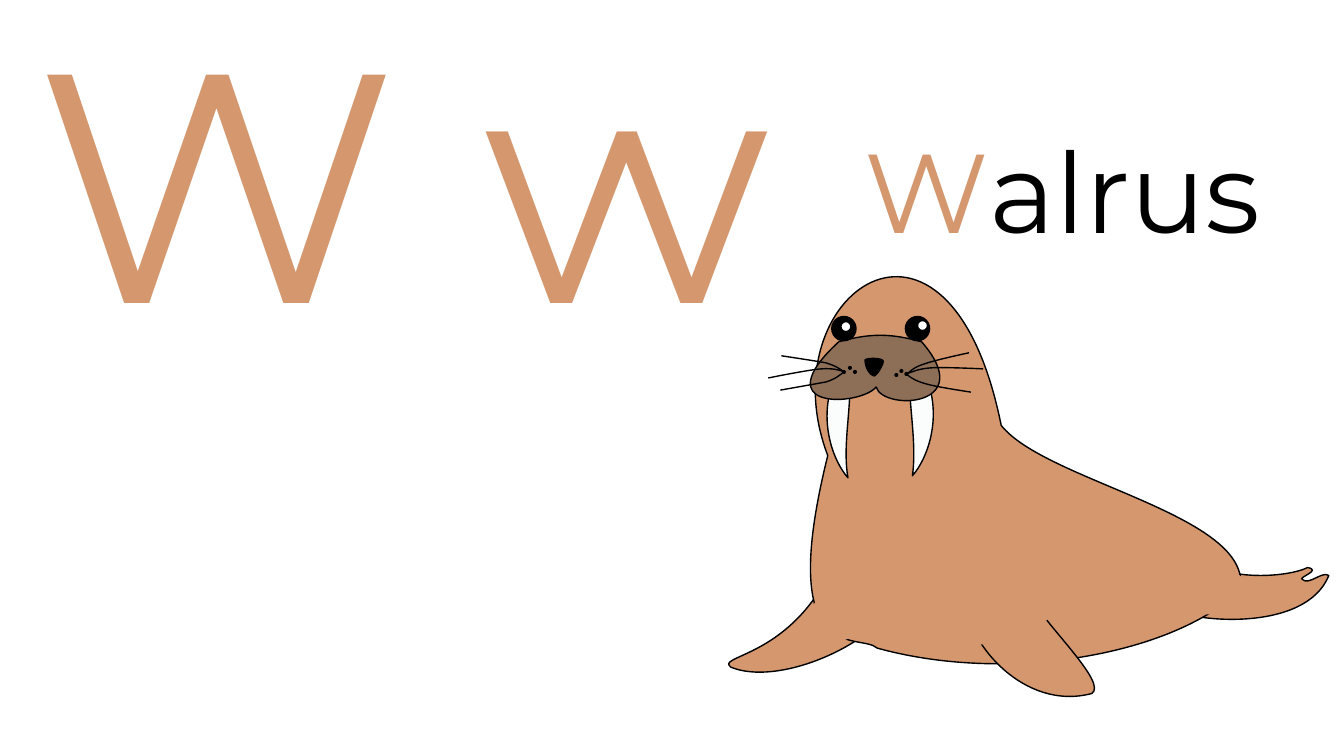
from lxml import etree
from pptx import Presentation
from pptx.dml.color import RGBColor
from pptx.enum import shapes, text
from pptx.oxml.ns import qn
from pptx.util import Inches, Pt

TAN, MUZZLE, IVORY = "D4976E", "8D6E56", "FBFCFC"
BLACK, WHITE = "000000", "FFFFFF"
FONT = "Montserrat"

# Outlines in inches from the walrus box: start point, then segments.
# A segment of two numbers is a line, one of six a Bezier curve.
FAR_FLIPPER = [(.25, 4.62), (.1, 4.51, .73, 4.53, 1.16, 3.81), (1.78, 4.09),
               (1.58, 4.41, .72, 4.81, .25, 4.62)]
TAIL = [(4.62, 3.57), (4.98, 3.57), (5.17, 3.76, 5.77, 3.73, 5.97, 3.63),
        (6.12, 3.66, 5.86, 3.73, 5.92, 3.75), (5.98, 3.81, 6.12, 3.66, 6.18, 3.71),
        (5.95, 4.28, 4.82, 4.17, 4.62, 4.04), (4.62, 3.57)]
BODY = [(1.21, 2.52), (.6, .92, 2.41, -.37, 2.93, 2.22),
        (3.37, 2.78, 5.44, 3.11, 5.3, 3.85), (4.68, 4.47, 3.04, 4.8, 1.7, 4.43),
        (1.53, 4.27, .68, 4.65, 1.21, 2.52)]
TUSKS = [
    [(2.21, 1.81), (2.33, 2.17, 2.2, 2.55, 2.05, 2.72),
     (2.09, 2.43, 2.03, 2.11, 2.02, 1.81), (2.21, 1.81)],
    [(1.25, 1.83), (1.13, 2.19, 1.26, 2.57, 1.41, 2.74),
     (1.36, 2.45, 1.43, 2.13, 1.43, 1.83), (1.25, 1.83)],
]
NEAR_FLIPPER = [(3.83, 4.88), (3.98, 4.78, 3.44, 4.27, 3.25, 3.97), (2.6, 4.03),
                (2.6, 4.36, 3.15, 5.06, 3.83, 4.88)]
SNOUT = [(1.32, 1.39), (1.65, 1.3, 1.84, 1.31, 2.14, 1.39),
         (2.71, 2.04, 1.76, 2.08, 1.69, 1.84), (1.53, 2.03, .57, 2.08, 1.32, 1.39)]
NOSE = [(1.76, 1.58), (1.77, 1.6, 1.7, 1.73, 1.67, 1.73),
        (1.64, 1.73, 1.58, 1.66, 1.58, 1.57), (1.61, 1.55, 1.74, 1.55, 1.76, 1.58)]
JOINTS = [
    [(3.65, 3.77), (3.66, 3.58, 2.93, 3.75, 2.57, 3.74), (2.26, 4.31),
     (2.54, 4.49, 3.42, 4.43, 3.65, 3.77)],
    [(5.47, 3.93), (5.57, 3.78, 4.88, 3.51, 4.59, 3.3), (4.01, 3.6),
     (4.13, 3.9, 4.91, 4.34, 5.47, 3.93)],
    [(2.05, 3.72), (2.08, 3.55, 1.47, 3.78, 1.18, 3.81), (.85, 4.38),
     (1.04, 4.51, 1.77, 4.35, 2.05, 3.72)],
]
WHISKERS = [
    [(2, 1.71), (2.03, 1.68, 2.07, 1.64, 2.17, 1.61), (2.28, 1.57, 2.61, 1.5, 2.61, 1.5)],
    [(1.99, 1.71), (2.05, 1.69, 2.1, 1.66, 2.23, 1.65), (2.35, 1.64, 2.75, 1.66, 2.75, 1.66)],
    [(2, 1.72), (2.04, 1.75, 2.08, 1.78, 2.19, 1.81), (2.29, 1.84, 2.63, 1.89, 2.63, 1.89)],
    [(1.37, 1.69), (1.33, 1.66, 1.29, 1.63, 1.19, 1.6), (1.08, 1.58, .75, 1.53, .75, 1.53)],
    [(1.38, 1.69), (1.32, 1.67, 1.26, 1.65, 1.14, 1.66), (1.01, 1.67, .62, 1.75, .62, 1.75)],
    [(1.37, 1.69), (1.33, 1.72, 1.29, 1.76, 1.19, 1.79), (1.08, 1.81, .74, 1.87, .74, 1.87)],
]
EYES = [(1.98, 1.14), (1.25, 1.14)]
GLINTS = [(1.34, 1.19), (2.1, 1.18)]
FRECKLES = [(1.97, 1.69), (1.87, 1.7), (1.92, 1.66), (1.46, 1.67), (1.41, 1.63)]
WHISKER_ROOT = [(1.35, 1.67)]


def color(value):
    return RGBColor.from_string(value)


def paint(sp, fill=None, line=None):
    sp.shadow.inherit = False
    if fill:
        sp.fill.solid()
        sp.fill.fore_color.rgb = color(fill)
    else:
        sp.fill.background()
    if line:
        sp.line.color.rgb = color(line)
        sp.line.width = Pt(1)
    else:
        sp.line.fill.background()


def extent(outline, axis):
    """Lowest and highest value the outline reaches along one axis."""
    values = [outline[0][axis]]
    for seg in outline[1:]:
        a, (b, c, d) = values[-1], (seg[axis::2] if len(seg) == 6 else [seg[axis]] * 3)
        for i in range(1, 51):
            t = i / 50
            values.append(a * (1 - t) ** 3 + 3 * b * t * (1 - t) ** 2
                          + 3 * c * t * t * (1 - t) + d * t ** 3)
    return min(values), max(values)


def add_outline(parent, left, top, outline, closed):
    (x0, x1), (y0, y1) = extent(outline, 0), extent(outline, 1)
    builder = parent.build_freeform(Inches(left + x0), Inches(top + y0))
    builder.add_line_segments([(Inches(left + x1), Inches(top + y1))], close=False)
    sp = builder.convert_to_shape()

    # Replace the diagonal of the bounds with the curves
    path = next(sp.element.iter(qn("a:path")))
    for step in list(path):
        path.remove(step)
    for i, seg in enumerate(outline):
        tag = "a:moveTo" if i == 0 else "a:lnTo" if len(seg) == 2 else "a:cubicBezTo"
        step = etree.SubElement(path, qn(tag))
        for x, y in zip(seg[::2], seg[1::2]):
            etree.SubElement(step, qn("a:pt"), x=str(Inches(x - x0)), y=str(Inches(y - y0)))
    if closed:
        etree.SubElement(path, qn("a:close"))
    return sp


def add_text(parent, box, runs, size):
    tb = parent.add_textbox(*(Inches(v) for v in box))
    tf = tb.text_frame
    tf.word_wrap = True
    tf.auto_size = text.MSO_AUTO_SIZE.SHAPE_TO_FIT_TEXT
    p = tf.paragraphs[0]
    for words, value in runs:
        r = p.add_run()
        r.text = words
        r.font.name = FONT
        r.font.size = Pt(size)
        r.font.color.rgb = color(value)


def add_walrus(parent, left, top):
    def outline(points, fill=None, line=BLACK):
        paint(add_outline(parent, left, top, points, fill is not None), fill, line)

    def dots(places, size, fill, line=None):
        for x, y in places:
            sp = parent.add_shape(shapes.MSO_SHAPE.OVAL, Inches(left + x),
                                  Inches(top + y), Inches(size), Inches(size))
            paint(sp, fill, line)

    # Body and limbs
    for limb in (FAR_FLIPPER, TAIL, BODY):
        outline(limb, TAN)
    for tusk in TUSKS:
        outline(tusk, IVORY)
    outline(NEAR_FLIPPER, TAN)

    # Face
    outline(SNOUT, MUZZLE)
    outline(NOSE, BLACK)
    dots(EYES, .24, BLACK, BLACK)
    dots(GLINTS, .1, WHITE, BLACK)
    dots(FRECKLES, .04, BLACK)

    # Patches that blend the limbs into the body
    for joint in JOINTS:
        outline(joint, TAN, None)

    # Whiskers
    for whisker in WHISKERS:
        outline(whisker)
    dots(WHISKER_ROOT, .04, BLACK)


def main():
    prs = Presentation()
    prs.slide_width, prs.slide_height = Inches(13.33), Inches(7.5)
    slide = prs.slides.add_slide(prs.slide_layouts[6])
    add_text(slide.shapes, (.25, -.27, 9.7, 4.02), [("W w", TAN)], 233)
    group = slide.shapes.add_group_shape().shapes
    add_text(group, (8.48, 1.16, 4.69, 1.45), [("W", TAN), ("alrus", BLACK)], 80)
    add_walrus(group, 7, 2)
    prs.save("out.pptx")


if __name__ == "__main__":
    main()
